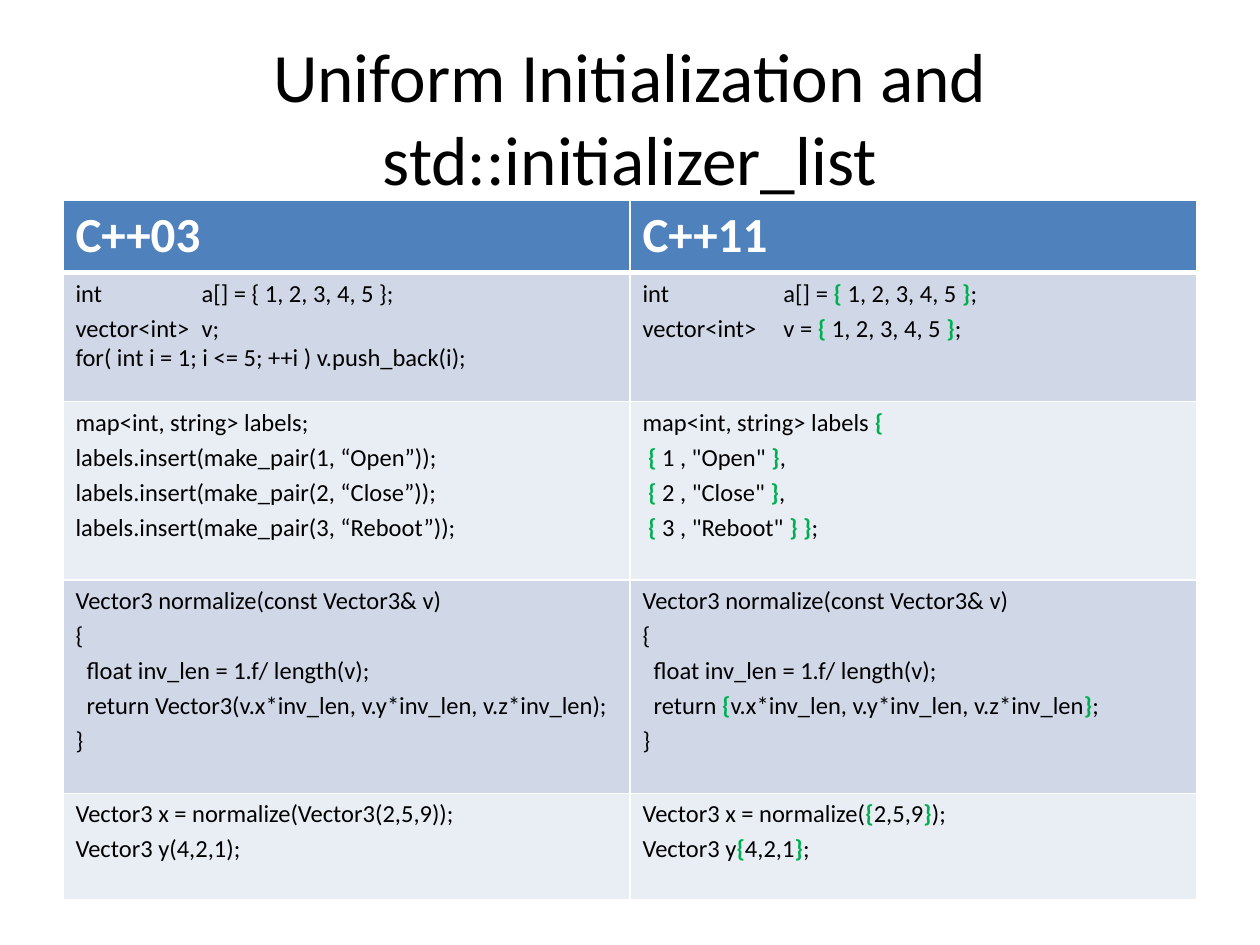
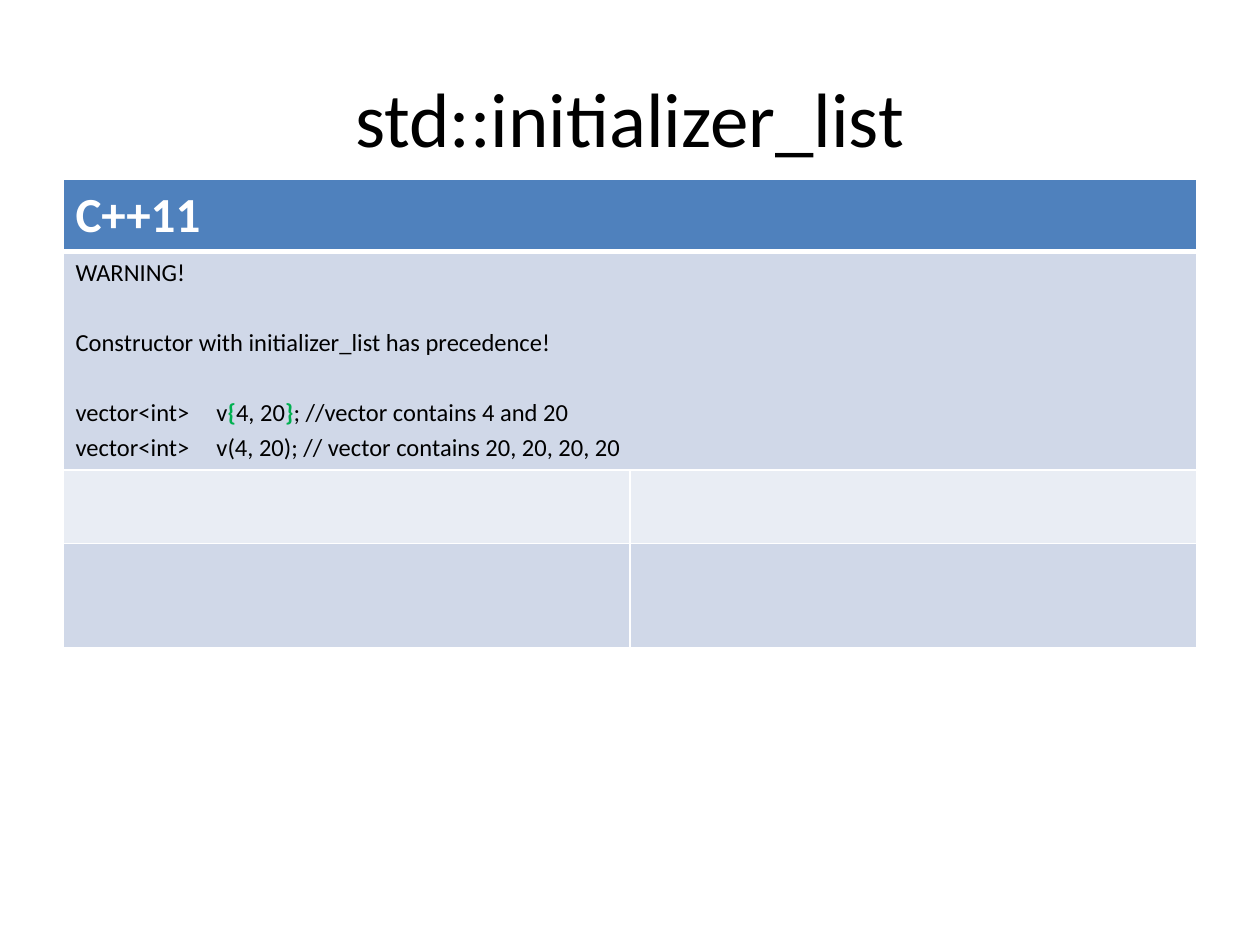
from lxml.etree import SubElement as Sub, Element
from pptx import Presentation
from pptx.dml.color import RGBColor as RGB
from pptx.enum.text import MSO_ANCHOR as Anchor, MSO_AUTO_SIZE as Auto, PP_ALIGN as Align
from pptx.oxml.ns import qn
from pptx.util import Cm, Pt

# Content: backticks wrap the highlighted marks, "" leaves an open line
SLIDES = [
    {
        "title": "Uniform Initialization and std::initializer_list",
        "size": 39.6,
        "top": 4.03,
        "stops": (2.54, 2.84),
        "heights": (1.43, 2.6, 3.6, 4.3, 2.15),
        "rows": [
            [["C++03"], ["C++11"]],
            [
                ["int \ta[] = { 1, 2, 3, 4, 5 };",
                 "vector<int> \tv;\nfor( int i = 1; i <= 5; ++i ) v.push_back(i);"],
                ["int\ta[] = `{ `1, 2, 3, 4, 5 `}`;",
                 "vector<int>\tv = `{` 1, 2, 3, 4, 5 `}`;"],
            ],
            [
                ["map<int, string> labels;",
                 "labels.insert(make_pair(1, “Open”));",
                 "labels.insert(make_pair(2, “Close”));",
                 "labels.insert(make_pair(3, “Reboot”));"],
                ["map<int, string> labels `{`",
                 ' `{ `1 , "Open" `}`,',
                 ' `{` 2 , "Close" `}`,',
                 ' `{` 3 , "Reboot" `} }`;'],
            ],
            [
                ["Vector3 normalize(const Vector3& v)",
                 "{",
                 "  float inv_len = 1.f/ length(v);",
                 "  return Vector3(v.x*inv_len, v.y*inv_len, v.z*inv_len);",
                 "}"],
                ["Vector3 normalize(const Vector3& v)",
                 "{",
                 "  float inv_len = 1.f/ length(v);",
                 "  return `{`v.x*inv_len, v.y*inv_len, v.z*inv_len`}`;",
                 "}"],
            ],
            [
                ["Vector3 x = normalize(Vector3(2,5,9));",
                 "Vector3 y(4,2,1);"],
                ["Vector3 x = normalize(`{`2,5,9`}`);",
                 "Vector3 y`{`4,2,1`}`;"],
            ],
        ],
    },
    {
        "title": "std::initializer_list",
        "size": 44,
        "top": 3.61,
        "stops": (2.84, 2.84),
        "heights": (1.43, 4.4, 1.48, 2.11),
        "rows": [
            [["C++11"]],
            [
                ["WARNING!",
                 "",
                 "Constructor with initializer_list has precedence!",
                 "",
                 "vector<int>\tv`{`4, 20`}`; //vector contains 4 and 20",
                 "vector<int>\tv(4, 20); // vector contains 20, 20, 20, 20"],
            ],
            [[], []],
            [[], []],
        ],
    },
]

# Shared look
FONT = "Calibri"
BLACK, WHITE, GREEN = "000000", "FFFFFF", "00B050"
HEAD, BANDS = "4F81BD", ("E9EDF4", "D0D8E8")
LEFT, WIDTH = 1.27, 22.86
GAP, OPEN = 3, 20  # points between lines, and for an open line


def tint(code):
    return RGB.from_string(code)


def put(frame, lines, size=14, color=BLACK, bold=False, align=Align.LEFT, stop=None):
    """Write lines into a frame, with the marked parts bold and green."""
    first, extra = True, 0
    for line in lines:
        if not line:
            extra += OPEN
            continue
        para = frame.paragraphs[0] if first else frame.add_paragraph()
        para.alignment = align
        para.space_before = Pt(0 if first else GAP + extra)
        if stop and "\t" in line:
            tabs = Sub(para._p.get_or_add_pPr(), qn("a:tabLst"))
            Sub(tabs, qn("a:tab"), pos=str(Cm(stop)), algn="l")
        for i, part in enumerate(line.split("`")):
            for j, text in enumerate(part.split("\n")):
                if j:
                    para.add_line_break()
                if text:
                    run = para.add_run()
                    run.text = text
                    font = run.font
                    font.name, font.size = FONT, Pt(size)
                    font.bold = bold or i % 2 == 1
                    font.color.rgb = tint(GREEN if i % 2 else color)
        first, extra = False, 0


def edge(cell, row):
    """Draw white borders, thick between header and body."""
    wide = {"L": 1, "R": 1, "T": 3 if row == 1 else 1, "B": 3 if row == 0 else 1}
    props = cell._tc.get_or_add_tcPr()
    for i, (side, pts) in enumerate(wide.items()):
        line = Element(qn("a:ln" + side), w=str(Pt(pts)))
        Sub(Sub(line, qn("a:solidFill")), qn("a:srgbClr"), val=WHITE)
        props.insert(i, line)


def head(slide, text, size):
    box = slide.shapes.title
    box.left, box.top, box.width, box.height = Cm(LEFT), Cm(0.76), Cm(WIDTH), Cm(3.18)
    frame = box.text_frame
    frame.word_wrap, frame.auto_size = True, Auto.NONE
    frame.vertical_anchor = Anchor.MIDDLE
    put(frame, [text], size=size, align=Align.CENTER)


def grid(slide, rows, heights, top, stops):
    table = slide.shapes.add_table(
        len(rows), 2, Cm(LEFT), Cm(top), Cm(WIDTH), Cm(sum(heights))).table
    for col in table.columns:
        col.width = Cm(WIDTH / 2)
    for r, (row, high) in enumerate(zip(rows, heights)):
        table.rows[r].height = Cm(high)
        for c in range(2):
            cell = table.cell(r, c)
            cell.fill.solid()
            cell.fill.fore_color.rgb = tint(BANDS[r % 2] if r else HEAD)
            edge(cell, r)
        if len(row) == 1:
            table.cell(r, 0).merge(table.cell(r, 1))
        look = {} if r else {"size": 28, "color": WHITE, "bold": True}
        for c, lines in enumerate(row):
            put(table.cell(r, c).text_frame, lines, stop=stops[c], **look)


def main():
    deck = Presentation()
    deck.slide_width, deck.slide_height = Cm(25.4), Cm(19.05)
    for data in SLIDES:
        slide = deck.slides.add_slide(deck.slide_layouts[5])
        head(slide, data["title"], data["size"])
        grid(slide, data["rows"], data["heights"], data["top"], data["stops"])
    deck.save("out.pptx")


if __name__ == "__main__":
    main()
